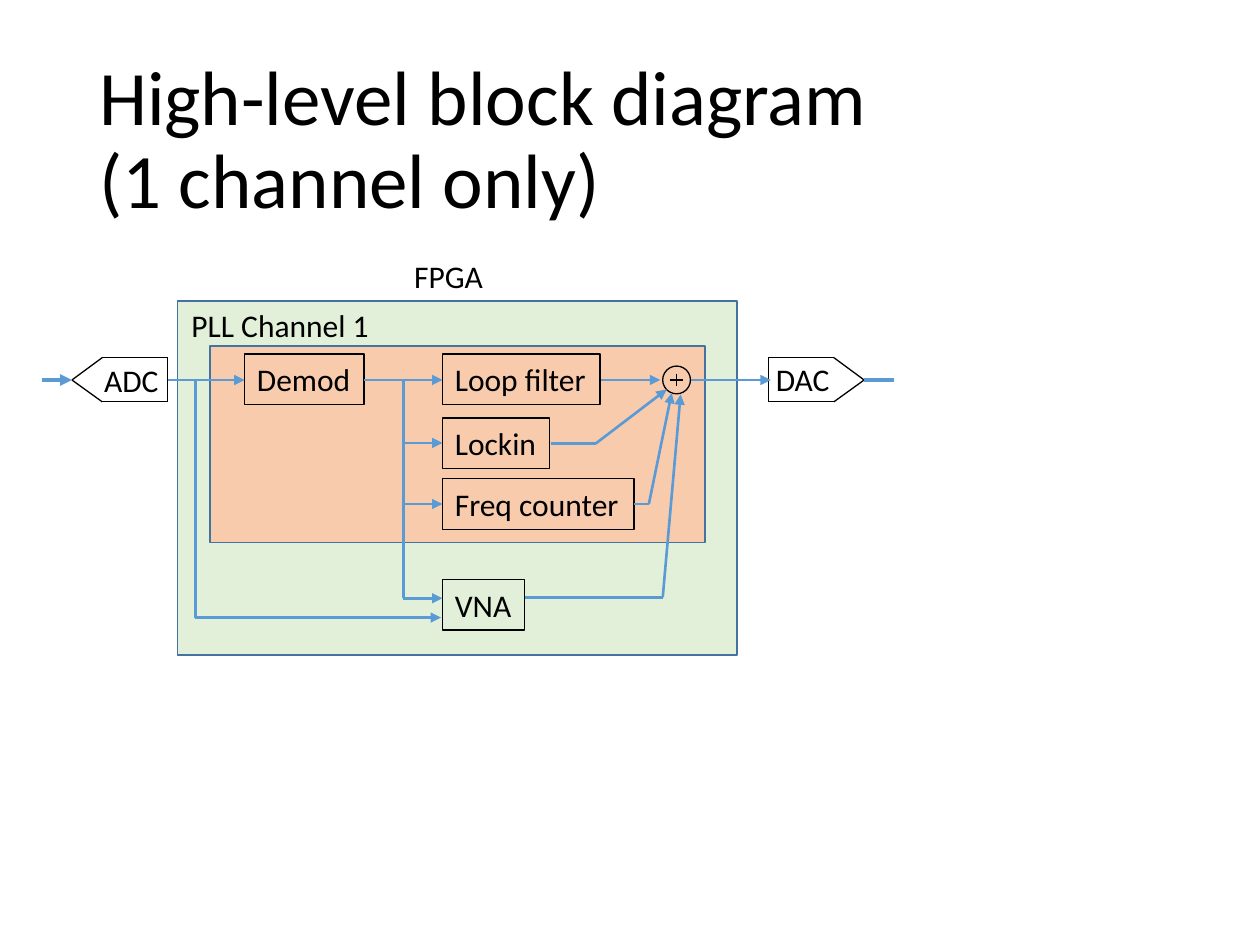
"""Build a slide with the block diagram of one FPGA phase-locked loop channel."""
from lxml.etree import SubElement
from pptx import Presentation
from pptx.dml.color import RGBColor
from pptx.enum.shapes import MSO_CONNECTOR, MSO_SHAPE
from pptx.enum.text import MSO_ANCHOR, PP_ALIGN
from pptx.oxml.ns import qn
from pptx.util import Cm, Pt

COLORS = {
    "text": "000000", "outline": "000000", "signal": "5B9BD5",
    "frame": "43739E", "fpga": "E2F0D9", "channel": "F8CBAD",
}
FONT = "Calibri"
TITLE = "High-level block diagram\v(1 channel only)"
ROW_HEIGHT = 1.02
COLUMN = 8.92
BUS = 8.13
TAP = 3.94
AXIS = 7.66

FRAMES = [
    ("fpga", 3.58, 6.07, 11.28, 7.14),
    ("channel", 4.24, 6.98, 9.98, 3.96),
]
BLOCKS = [
    ("Demod", 4.93, 7.14, 2.41),
    ("Loop filter", COLUMN, 7.14, 3.18),
    ("Lockin", COLUMN, 8.43, 2.16),
    ("Freq counter", COLUMN, 9.65, 3.86),
    ("VNA", COLUMN, 11.68, 1.65),
]
LABELS = [
    ("FPGA", 8.1, 5.05, 1.9, (0.25, 0.25)),
    ("PLL Channel 1", 3.61, 6.05, 4.14, (0.25, 0.25)),
    ("ADC", 1.85, 7.16, 1.52, (0.25, 0)),
    ("DAC", 15.49, 7.14, 1.93, (0.15, 0.25)),
]
CONVERTERS = [(3.38, 2.06, 1.45), (15.49, 16.81, 17.42)]
CONVERTER_TOP, CONVERTER_BOTTOM = 7.21, 8.1
ADDER_X, ADDER_SIZE, PLUS_ARM = 13.64, 0.56, 0.13

SIGNALS = [
    ([(0.84, AXIS), (1.45, AXIS)], 2.25, True),
    ([(17.42, AXIS), (18.03, AXIS)], 2.25, False),
    ([(3.38, AXIS), (4.93, AXIS)], 1.5, True),
    ([(7.34, AXIS), (COLUMN, AXIS)], 1.5, True),
    ([(12.12, AXIS), (13.31, AXIS)], 1.5, True),
    ([(13.92, AXIS), (15.54, AXIS)], 1.5, True),
    ([(11.1, 8.94), (12.01, 8.94), (13.44, 7.85)], 1.5, True),
    ([(12.78, 10.16), (13.08, 10.16), (13.54, 7.92)], 1.5, True),
    ([(10.59, 12.04), (13.36, 12.04), (13.72, 7.95)], 1.5, True),
    ([(BUS, 8.93), (COLUMN, 8.93)], 1.5, True),
    ([(BUS, 10.16), (COLUMN, 10.16)], 1.5, True),
    ([(BUS, AXIS), (BUS, 12.06), (COLUMN, 12.06)], 1.5, True),
    ([(TAP, AXIS), (TAP, 12.45), (8.89, 12.45)], 1.5, True),
]


def color(name):
    return RGBColor.from_string(COLORS[name])


def write(box, text, size=18, insets=(0.25, 0.25)):
    frame = box.text_frame
    frame.margin_left, frame.margin_right = (Cm(inset) for inset in insets)
    frame.vertical_anchor = MSO_ANCHOR.TOP
    frame.word_wrap = False
    frame.text = text
    paragraph = frame.paragraphs[0]
    paragraph.alignment = PP_ALIGN.LEFT
    for span in paragraph.runs:
        span.font.name = FONT
        span.font.size = Pt(size)
        span.font.color.rgb = color("text")


def add_text(page, text, left, top, width, height, **style):
    box = page.shapes.add_textbox(Cm(left), Cm(top), Cm(width), Cm(height))
    write(box, text, **style)
    return box


def add_outline(page, kind, left, top, width, height, line, points, fill=None):
    shape = page.shapes.add_shape(kind, Cm(left), Cm(top), Cm(width), Cm(height))
    shape.shadow.inherit = False
    if fill:
        shape.fill.solid()
        shape.fill.fore_color.rgb = color(fill)
    else:
        shape.fill.background()
    shape.line.color.rgb = color(line)
    shape.line.width = Pt(points)
    return shape


def add_route(page, stops, name, points, arrow=False):
    for start, end in zip(stops, stops[1:]):
        line = page.shapes.add_connector(
            MSO_CONNECTOR.STRAIGHT, *(Cm(value) for value in (*start, *end)))
        line.line.color.rgb = color(name)
        line.line.width = Pt(points)
        properties = line._element.spPr
        if arrow and end == stops[-1]:
            SubElement(properties.find(qn("a:ln")), qn("a:tailEnd"), type="triangle")
        SubElement(properties, qn("a:effectLst"))


def main():
    deck = Presentation()
    deck.slide_width, deck.slide_height = Cm(25.4), Cm(19.05)
    page = deck.slides.add_slide(deck.slide_layouts[6])

    title = add_text(page, TITLE, 1.75, 1.02, 21.9, 3.68, size=44)
    title.text_frame.word_wrap = True
    title.text_frame.vertical_anchor = MSO_ANCHOR.MIDDLE
    title.text_frame.paragraphs[0].line_spacing = 0.9

    for fill, *place in FRAMES:
        add_outline(page, MSO_SHAPE.RECTANGLE, *place, "frame", 1, fill)
    for text, left, top, width in BLOCKS:
        block = add_outline(page, MSO_SHAPE.RECTANGLE, left, top, width,
                            ROW_HEIGHT, "outline", 0.75)
        write(block, text)
    for text, left, top, width, insets in LABELS:
        add_text(page, text, left, top, width, ROW_HEIGHT, insets=insets)

    for back, shoulder, tip in CONVERTERS:
        corners = [(back, CONVERTER_TOP), (shoulder, CONVERTER_TOP), (tip, AXIS),
                   (shoulder, CONVERTER_BOTTOM), (back, CONVERTER_BOTTOM)]
        add_route(page, corners + corners[:1], "outline", 0.75)

    add_outline(page, MSO_SHAPE.OVAL, ADDER_X - ADDER_SIZE / 2,
                AXIS - ADDER_SIZE / 2, ADDER_SIZE, ADDER_SIZE, "outline", 0.75)
    for across, down in [(PLUS_ARM, 0), (0, PLUS_ARM)]:
        add_route(page, [(ADDER_X - across, AXIS - down),
                         (ADDER_X + across, AXIS + down)], "outline", 0.75)

    for stops, points, arrow in SIGNALS:
        add_route(page, stops, "signal", points, arrow)
    deck.save("out.pptx")


if __name__ == "__main__":
    main()
